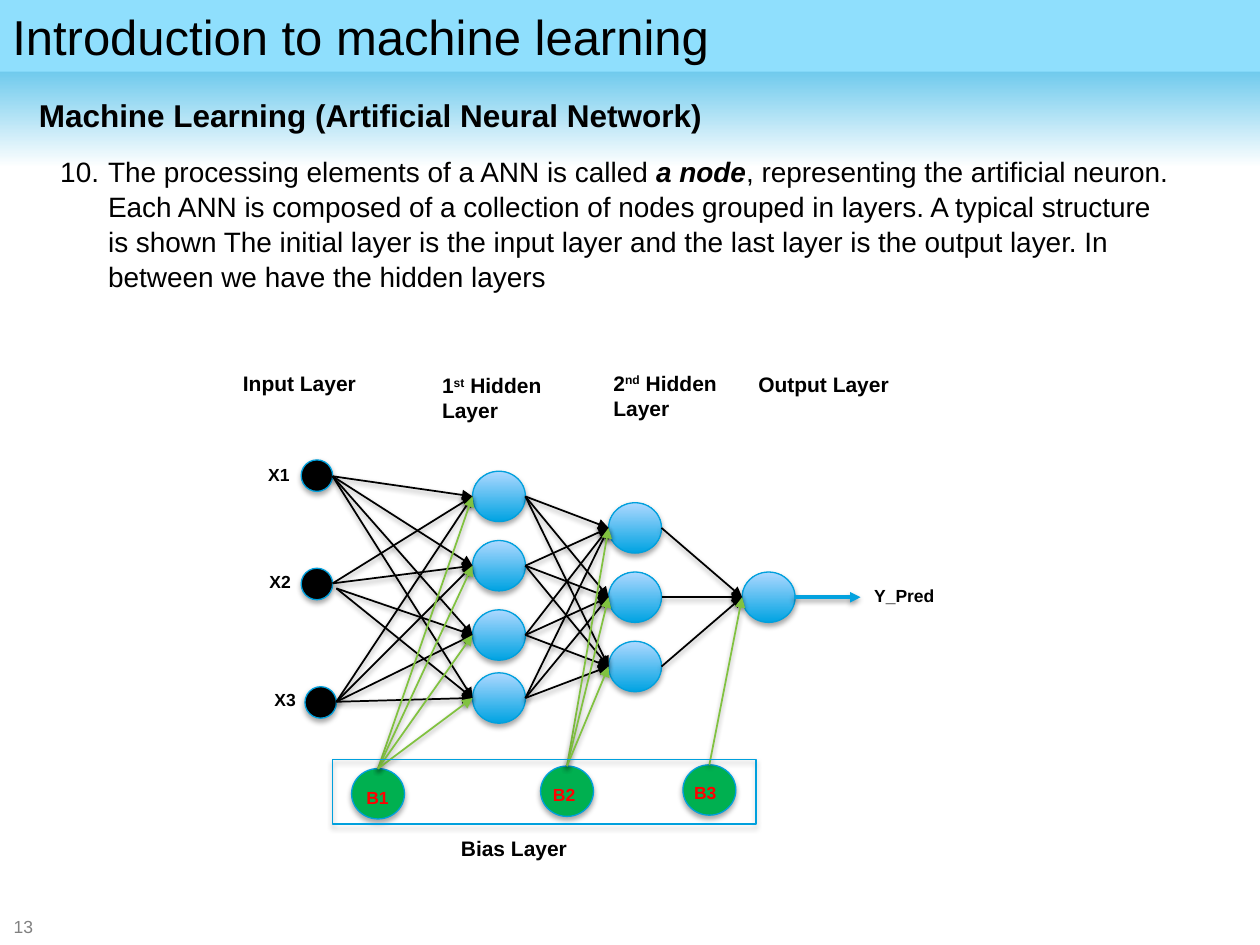
from itertools import product
from lxml.etree import SubElement
from pptx import Presentation
from pptx.dml.color import RGBColor
from pptx.enum.shapes import MSO_CONNECTOR, MSO_SHAPE
from pptx.enum.text import MSO_ANCHOR, PP_ALIGN
from pptx.oxml.ns import qn
from pptx.util import Inches, Pt

# Content
TITLE = "Introduction to machine learning"
SUBTITLE = "Machine Learning (Artificial Neural Network)"
BODY = [
    ("The processing elements of a ANN is called ", ""),
    ("a node", "bi"),
    (", representing the artificial neuron. Each ANN is composed of a collection "
     "of nodes grouped in layers. A typical structure is shown The initial layer "
     "is the input layer and the last layer is the output layer. In between we "
     "have the hidden layers", ""),
]
LAYER_LABELS = [  # runs, box
    ([("Input Layer", "b")], (1.83, 2.89, 1.17, 0.3)),
    ([("1", "b"), ("st", "b^"), (" Hidden Layer", "b")], (3.41, 2.91, 1.35, 0.5)),
    ([("2", "b"), ("nd", "b^"), (" Hidden Layer", "b")], (4.77, 2.89, 1.5, 0.5)),
    ([("Output Layer", "b")], (5.92, 2.9, 1.5, 0.3)),
    ([("Bias Layer", "b")], (3.56, 6.58, 1.5, 0.3)),
]
NODE_LABELS = [  # text, left, top, width, colour
    ("Y_Pred", 6.84, 4.59, 0.74, "000000"),
    ("X1", 2.03, 3.63, 0.41, "000000"),
    ("X2", 2.04, 4.48, 0.41, "000000"),
    ("X3", 2.08, 5.42, 0.41, "000000"),
    ("B1", 2.81, 6.2, 0.41, "FF0000"),
    ("B2", 4.29, 6.17, 0.41, "FF0000"),
    ("B3", 5.41, 6.16, 0.41, "FF0000"),
]

# Network geometry: left and top of each node
NODE_W, NODE_H, INPUT_D = 0.42, 0.4, 0.25
INPUTS = [(2.39, 3.65), (2.39, 4.51), (2.42, 5.45)]
HIDDEN_1 = [(3.75, y) for y in (3.74, 4.29, 4.84, 5.34)]
HIDDEN_2 = [(4.83, y) for y in (3.99, 4.54, 5.09)]
OUTPUT = [(5.89, 4.54)]
BIASES = [(2.79, 6.1), (4.29, 6.08), (5.42, 6.07)]

BLUE, BLACK, GREEN, EDGE_GREEN, OUTLINE = "03A2DF", "000000", "00B050", "81C240", "00A0DD"
NODE_GRADIENT = ("00A3E2", "ADD8FF", 90)

prs = Presentation()
prs.slide_width, prs.slide_height = Inches(10), Inches(7.5)
s = prs.slides.add_slide(prs.slide_layouts[6])


def rgb(color):
    return RGBColor.from_string(color)


def add_shadow(effects, alpha, dist):
    shadow = SubElement(effects, qn("a:outerShdw"), blurRad=str(Pt(3.1)), dist=str(Pt(dist)),
                        dir="5400000", rotWithShape="0")
    color = SubElement(shadow, qn("a:srgbClr"), val=BLACK)
    SubElement(color, qn("a:alpha"), val=str(alpha * 1000))


def add_shape(kind, box, fill=None, line=None):
    sp = s.shapes.add_shape(kind, *map(Inches, box))
    if isinstance(fill, tuple):
        start, end, angle = fill
        sp.fill.gradient()
        sp.fill.gradient_angle = angle
        for stop, color, position in zip(sp.fill.gradient_stops, (start, end), (0, 1)):
            stop.color.rgb = rgb(color)
            stop.position = position
    elif fill:
        sp.fill.solid()
        sp.fill.fore_color.rgb = rgb(fill)
    else:
        sp.fill.background()
    sp.shadow.inherit = False
    if line:
        sp.line.color.rgb = rgb(line)
        sp.line.width = Pt(0.75)
        add_shadow(sp._element.spPr.find(qn("a:effectLst")), 35, 1.8)
    else:
        sp.line.fill.background()
    return sp


def add_nodes(places, fill, w=NODE_W, h=NODE_H):
    for x, y in places:
        add_shape(MSO_SHAPE.OVAL, (x, y, w, h), fill, OUTLINE)


def add_arrow(start, end, color=BLACK, width=1):
    line = s.shapes.add_connector(MSO_CONNECTOR.STRAIGHT, *map(Inches, (*start, *end)))
    line.line.color.rgb = rgb(color)
    line.line.width = Pt(width)
    SubElement(line.line._ln, qn("a:tailEnd"), type="triangle")
    add_shadow(SubElement(line._element.spPr, qn("a:effectLst")), 38, 1.6)


def connect(starts, ends, color=BLACK):
    for start, end in product(starts, ends):
        add_arrow(start, end, color)


def left_side(nodes):
    return [(x, y + NODE_H / 2) for x, y in nodes]


def right_side(nodes):
    return [(x + NODE_W, y + NODE_H / 2) for x, y in nodes]


def write(sp, runs, size, color=BLACK, anchor=MSO_ANCHOR.TOP):
    tf = sp.text_frame
    tf.word_wrap = True
    tf.vertical_anchor = anchor
    p = tf.paragraphs[0]
    p.alignment = PP_ALIGN.LEFT
    for text, style in runs:
        r = p.add_run()
        r.text = text
        r.font.name, r.font.size = "Arial", Pt(size)
        r.font.color.rgb = rgb(color)
        r.font.bold, r.font.italic = "b" in style, "i" in style
        if "^" in style:
            r.font._element.set("baseline", "30000")
    return p


def add_text(box, runs, size, color=BLACK, anchor=MSO_ANCHOR.TOP):
    return write(s.shapes.add_textbox(*map(Inches, box)), runs, size, color, anchor)


# Header, title and page number
add_shape(MSO_SHAPE.RECTANGLE, (0, 0, 10, 1.33), (BLUE, "FFFFFF", 270))
add_text((0.01, 7.27, 0.39, 0.16), [("13", "")], 10, "808080", MSO_ANCHOR.MIDDLE)
title_bar = add_shape(MSO_SHAPE.RECTANGLE, (0, 0, 10, 0.57), "8FDFFD")
write(title_bar, [(TITLE, "")], 28)

# Numbered paragraph and subtitle
p = add_text((0.38, 1.17, 9, 1.5), BODY, 16)
p.line_spacing = 1.04
pPr = p._p.get_or_add_pPr()
pPr.set("marL", str(Inches(0.38)))
pPr.set("indent", str(Inches(-0.38)))
SubElement(pPr, qn("a:buAutoNum"), type="arabicPeriod", startAt="10")
add_text((0.21, 0.71, 9.21, 0.45), [(SUBTITLE, "b")], 18)

# Inputs to first hidden layer
add_nodes(INPUTS, BLACK, INPUT_D, INPUT_D)
add_nodes(HIDDEN_1, NODE_GRADIENT)
add_nodes(BIASES[:1], GREEN)
targets_1 = left_side(HIDDEN_1)
connect([(2.64, 3.78)], targets_1)
connect([(2.64, 4.63)], targets_1[:2])
connect([(2.67, 4.67)], targets_1[2:])
connect([(2.67, 5.57)], targets_1)
bias_tops = [(x + NODE_W / 2, y) for x, y in BIASES]
connect(bias_tops[:1], targets_1, EDGE_GREEN)

# First to second hidden layer
add_nodes(HIDDEN_2, NODE_GRADIENT)
connect(right_side(HIDDEN_1), left_side(HIDDEN_2))
add_nodes(BIASES[1:2], GREEN)
connect(bias_tops[1:2], left_side(HIDDEN_2), EDGE_GREEN)

# Second hidden layer to output
add_nodes(OUTPUT, NODE_GRADIENT)
connect(right_side(HIDDEN_2), left_side(OUTPUT))
add_arrow((6.3, 4.74), (6.83, 4.74), BLUE, 2)
add_nodes(BIASES[2:], GREEN)
connect(bias_tops[2:], left_side(OUTPUT), EDGE_GREEN)

# Labels and bias frame
for text, x, y, w, color in NODE_LABELS:
    add_text((x, y, w, 0.27), [(text, "b")], 10, color)
for runs, box in LAYER_LABELS:
    add_text(box, runs, 12)
add_shape(MSO_SHAPE.RECTANGLE, (2.64, 6.03, 3.36, 0.51), line=OUTLINE)

prs.save("out.pptx")
